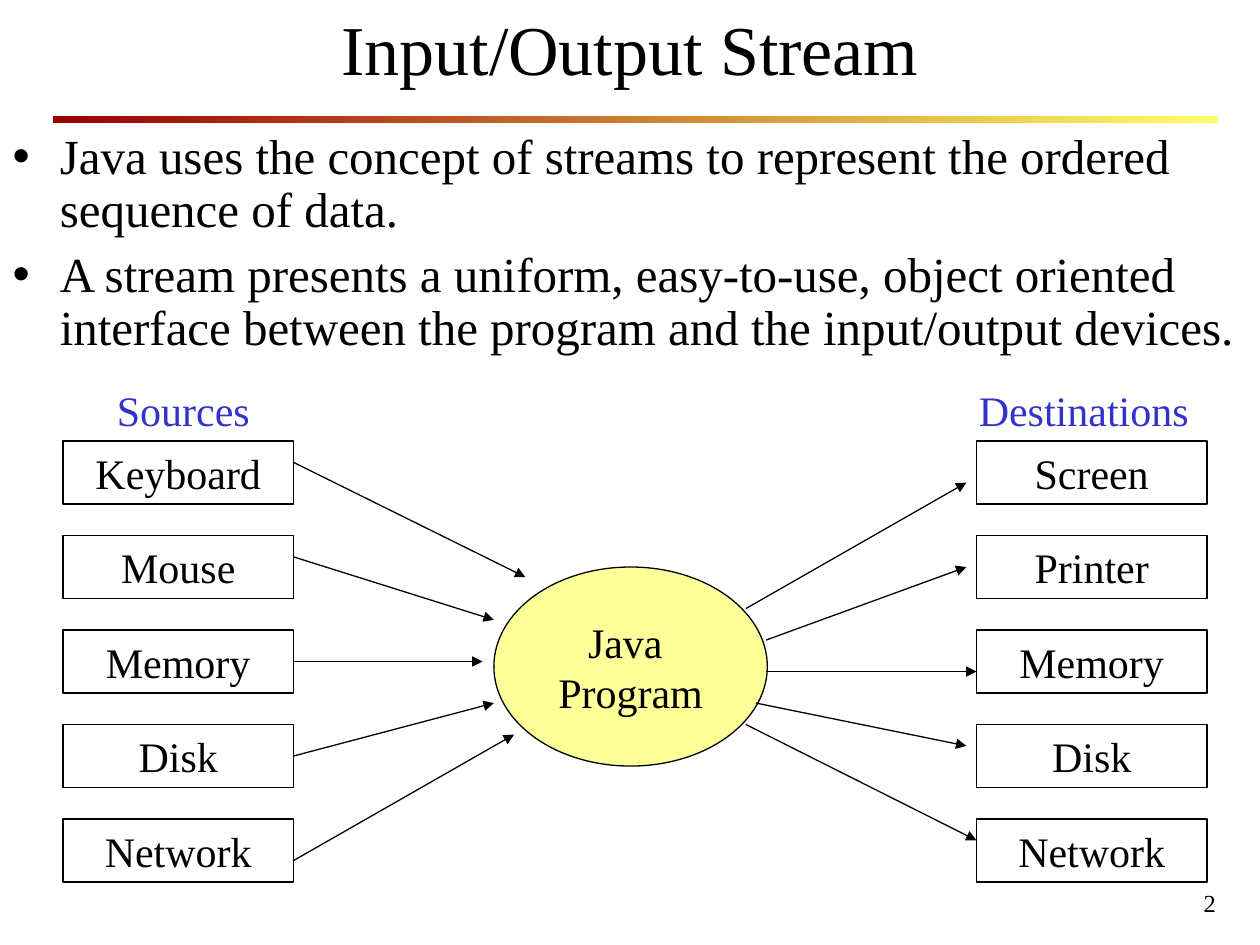
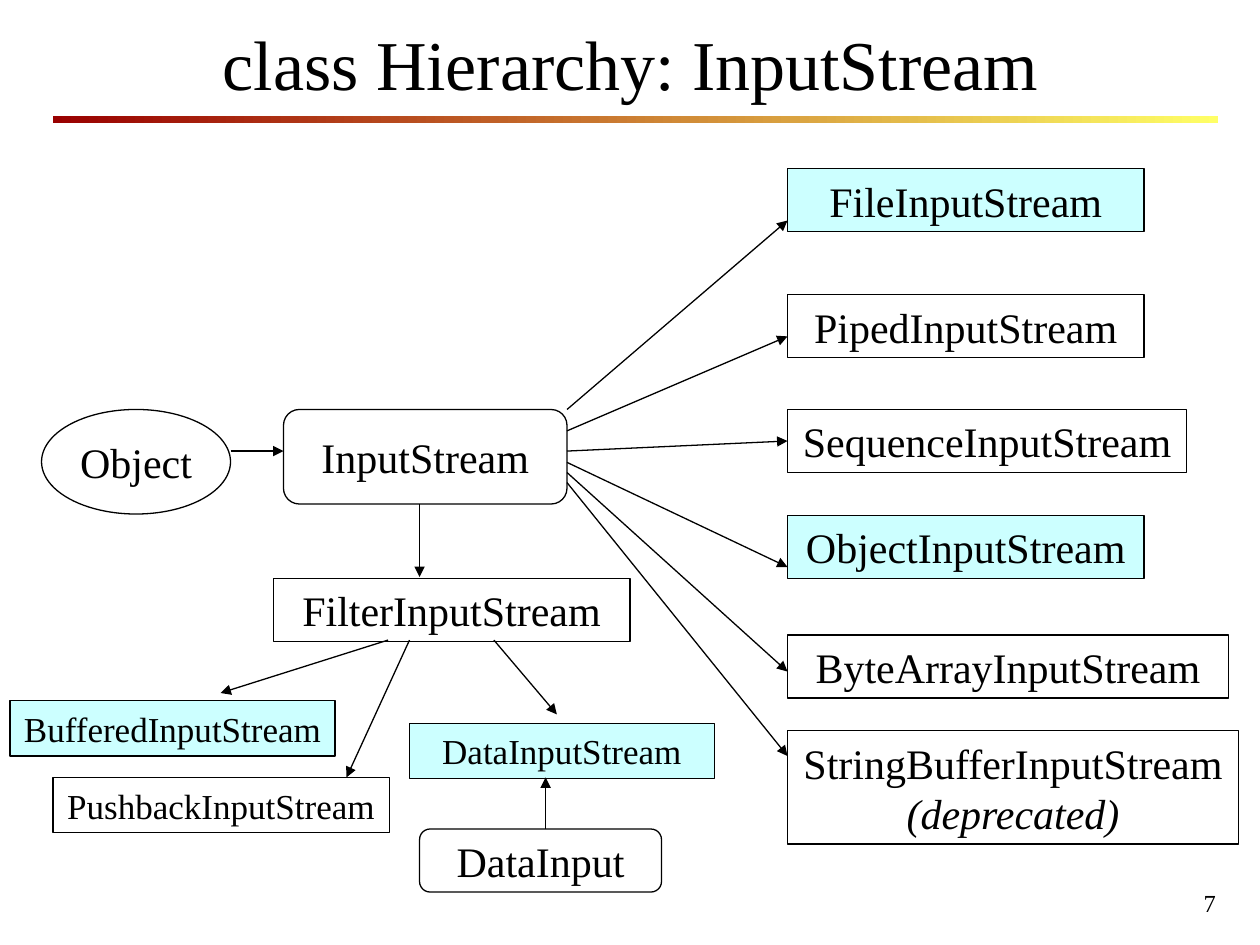
from lxml.etree import SubElement
from pptx import Presentation
from pptx.dml.color import RGBColor
from pptx.enum.shapes import MSO_CONNECTOR, MSO_SHAPE
from pptx.enum.text import MSO_ANCHOR, MSO_AUTO_SIZE, PP_ALIGN
from pptx.oxml.ns import qn
from pptx.util import Inches, Pt

FONT = "Times New Roman"
HUES = {"ink": "000000", "label": "3333CC", "dark": "990000", "light": "FFFF66",
        "core": "FFFF99", "focus": "CCFFFF"}

POINTS = [
    "Java uses the concept of streams to represent the ordered sequence of data.",
    "A stream presents a uniform, easy-to-use, object oriented interface "
    "between the program and the input/output devices.",
]
SOURCES = ["Keyboard", "Mouse", "Memory", "Disk", "Network"]
TARGETS = ["Screen", "Printer", "Memory", "Disk", "Network"]
FLOWS = [
    ((2.33, 3.67), (4.17, 4.58)), ((2.33, 4.42), (3.92, 4.92)),
    ((2.33, 5.25), (3.83, 5.25)), ((2.33, 6), (3.92, 5.58)),
    ((2.33, 6.83), (4.08, 5.83)), ((5.92, 4.83), (7.67, 3.83)),
    ((6.08, 5.08), (7.67, 4.5)), ((6.08, 5.33), (7.75, 5.33)),
    ((6, 5.58), (7.67, 5.92)), ((5.92, 5.75), (7.75, 6.67)),
]

STREAMS = [
    ("FileInputStream", 1.34, 2.83, "focus"),
    ("PipedInputStream", 2.34, 2.83, None),
    ("SequenceInputStream", 3.25, 3.17, None),
    ("ObjectInputStream", 4.09, 2.83, "focus"),
    ("ByteArrayInputStream", 5.04, 3.5, None),
]
FILTERS = [
    ("BufferedInputStream", 0.08, 5.56, 2.58, "focus"),
    ("DataInputStream", 3.25, 5.74, 2.42, "focus"),
    ("PushbackInputStream", 0.42, 6.17, 2.67, None),
]
FAN = [(3.25, 1.75), (3.42, 2.67), (3.58, 3.5), (3.67, 4.5), (3.75, 5.33), (3.83, 6)]
LINKS = [
    ((1.83, 3.58), (2.25, 3.58)), ((3.33, 4), (3.33, 4.58)),
    ((3.08, 5.08), (1.75, 5.5)), ((3.25, 5.08), (2.75, 6.17)),
    ((3.92, 5.08), (4.42, 5.67)), ((4.33, 6.58), (4.33, 6.17)),
] + [((4.5, top), (6.25, end)) for top, end in FAN]


def tint(name):
    return RGBColor.from_string(HUES[name])


def place(shape, at):
    shape.left, shape.top, shape.width, shape.height = map(Inches, at)


def write(shape, *texts, size=24, hue="ink", align=PP_ALIGN.CENTER,
          anchor=MSO_ANCHOR.MIDDLE, wrap=True, before=0, space=1, note=None):
    frame = shape.text_frame
    frame.auto_size = MSO_AUTO_SIZE.NONE
    frame.word_wrap = wrap
    frame.vertical_anchor = anchor
    for i, text in enumerate(texts):
        para = frame.add_paragraph() if i else frame.paragraphs[0]
        para.alignment = align
        para.space_before = Pt(before)
        para.line_spacing = space
        para.add_run().text = text
        if note:
            para.add_line_break()
            run = para.add_run()
            run.text = note
            run.font.italic = True
        for run in para.runs:
            run.font.name = FONT
            run.font.size = Pt(size)
            run.font.color.rgb = tint(hue)


def label(slide, text, at, **form):
    box = slide.shapes.add_textbox(*map(Inches, at))
    write(box, text, anchor=MSO_ANCHOR.TOP, **form)


def node(slide, at, *texts, kind=MSO_SHAPE.RECTANGLE, fill=None, **form):
    shape = slide.shapes.add_shape(kind, *map(Inches, at))
    shape.shadow.inherit = False
    if fill:
        shape.fill.solid()
        shape.fill.fore_color.rgb = tint(fill)
    else:
        shape.fill.background()
    shape.line.color.rgb = tint("ink")
    shape.line.width = Pt(0.75)
    write(shape, *texts, **form)
    return shape


def find(boxes, point):
    x, y = map(Inches, point)
    for box in boxes:
        mid, half = box.left + box.width // 2, box.top + box.height // 2
        sides = [(mid, box.top), (box.left, half),
                 (mid, box.top + box.height), (box.left + box.width, half)]
        for site, (a, b) in enumerate(sides):
            if max(abs(a - x), abs(b - y)) < Inches(0.02):
                return box, site
    return None


def arrow(slide, start, end, boxes):
    line = slide.shapes.add_connector(MSO_CONNECTOR.STRAIGHT, *map(Inches, start + end))
    line.line.color.rgb = tint("ink")
    line.line.width = Pt(0.75)
    SubElement(line.line._get_or_add_ln(), qn("a:tailEnd"), type="triangle")
    SubElement(line._element.spPr, qn("a:effectLst"))
    for point, join in ((start, line.begin_connect), (end, line.end_connect)):
        hit = find(boxes, point)
        if hit:
            join(*hit)


def start(deck, layout, title, at, number):
    slide = deck.slides.add_slide(deck.slide_layouts[layout])
    band = slide.shapes.add_shape(MSO_SHAPE.RECTANGLE, *map(Inches, (0.42, 0.92, 9.25, 0.06)))
    band.shadow.inherit = False
    band.line.fill.background()
    band.fill.gradient()
    band.fill.gradient_angle = 0
    for stop, hue in zip(band.fill.gradient_stops, ("dark", "light")):
        stop.color.rgb = tint(hue)
    place(slide.shapes.title, at)
    write(slide.shapes.title, title, size=40)
    label(slide, number, (8.92, 7, 0.83, 0.33), size=14, align=PP_ALIGN.RIGHT)
    return slide


def draw_flow(deck):
    slide = start(deck, 1, "Input/Output Stream", (0.75, 0, 8.5, 0.75), "2")
    body = slide.placeholders[1]
    place(body, (0, 1, 10, 2))
    write(body, *POINTS, size=28, align=PP_ALIGN.LEFT, anchor=MSO_ANCHOR.TOP,
          before=7, space=0.9)
    node(slide, (3.92, 4.5, 2.17, 1.58), "Java ", "Program",
         kind=MSO_SHAPE.OVAL, fill="core", wrap=False)
    label(slide, "Sources", (0.58, 3, 1.75, 0.5), hue="label")
    label(slide, "Destinations", (7.67, 3, 2, 0.5), hue="label", align=PP_ALIGN.LEFT)
    boxes = [node(slide, (left, 3.5 + 0.75 * i, 1.83, 0.5), name)
             for left, names in ((0.5, SOURCES), (7.75, TARGETS))
             for i, name in enumerate(names)]
    for ends in FLOWS:
        arrow(slide, *ends, boxes)


def draw_tree(deck):
    slide = start(deck, 5, "class Hierarchy: InputStream", (0.42, 0.25, 9.17, 0.5), "7")
    node(slide, (0.33, 3.25, 1.5, 0.83), "Object", kind=MSO_SHAPE.OVAL, wrap=False)
    boxes = [node(slide, at, name, kind=MSO_SHAPE.ROUNDED_RECTANGLE, wrap=False)
             for name, at in (("InputStream", (2.25, 3.25, 2.25, 0.75)),
                              ("DataInput", (3.33, 6.58, 1.92, 0.5)))]
    boxes.append(node(slide, (2.17, 4.59, 2.83, 0.5), "FilterInputStream"))
    for name, top, width, fill in STREAMS:
        boxes.append(node(slide, (6.25, top, width, 0.5), name, fill=fill))
    boxes.append(node(slide, (6.25, 5.8, 3.58, 0.9), "StringBufferInputStream",
                      note="(deprecated)"))
    for name, left, top, width, fill in FILTERS:
        boxes.append(node(slide, (left, top, width, 0.44), name, fill=fill, size=20))
    for ends in LINKS:
        arrow(slide, *ends, boxes)


def main():
    deck = Presentation()
    deck.slide_width, deck.slide_height = Inches(10), Inches(7.5)
    draw_flow(deck)
    draw_tree(deck)
    deck.save("out.pptx")


if __name__ == "__main__":
    main()
